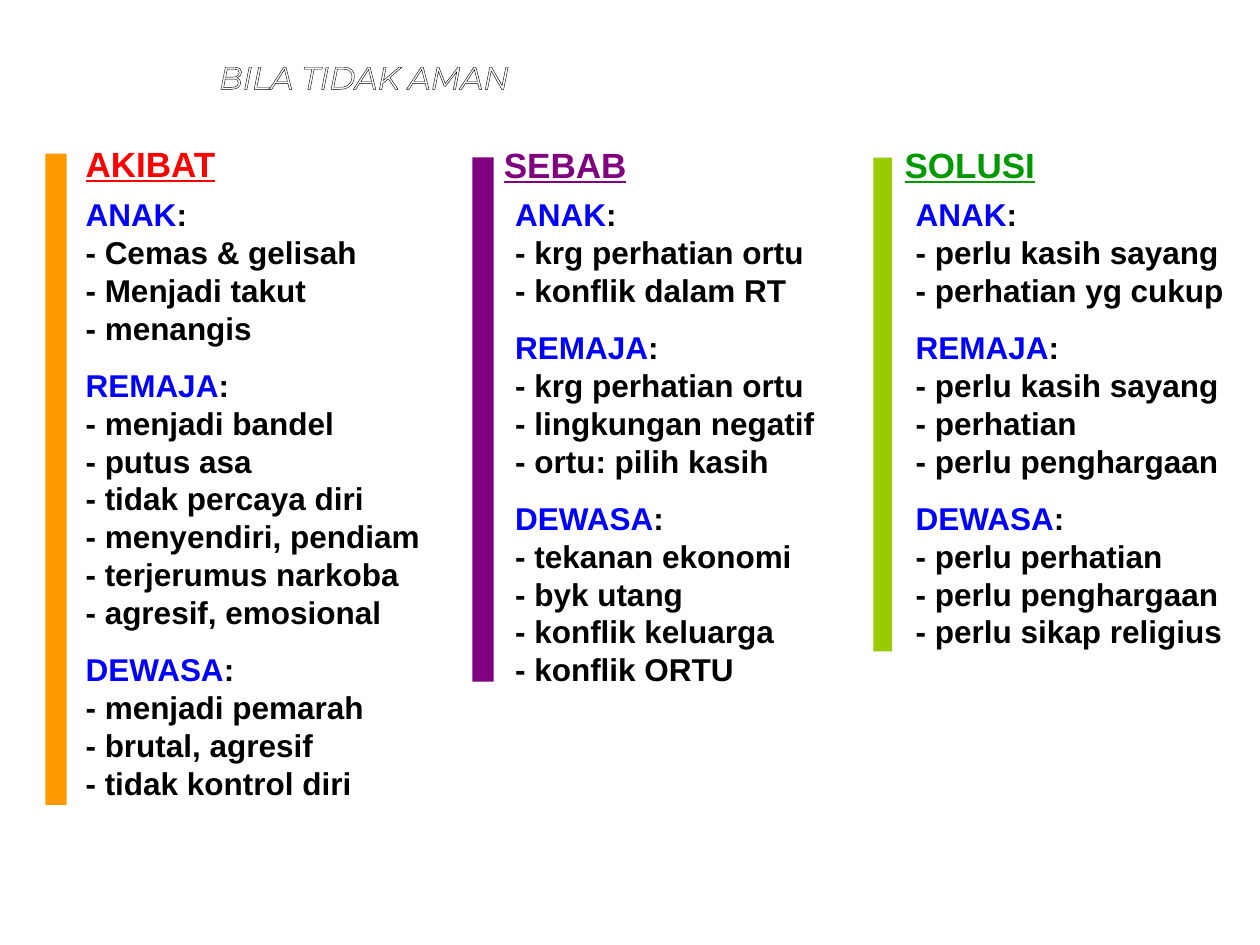
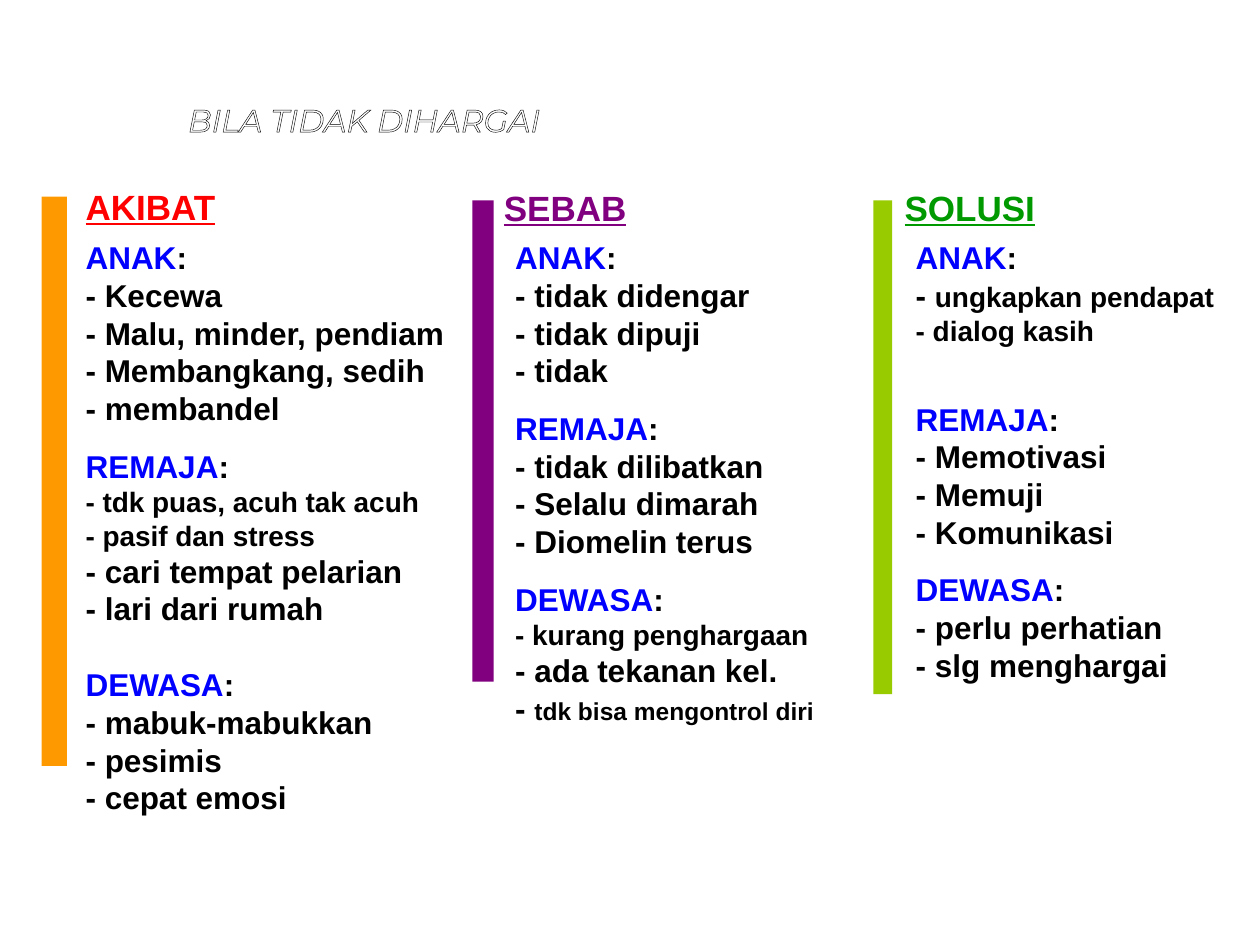
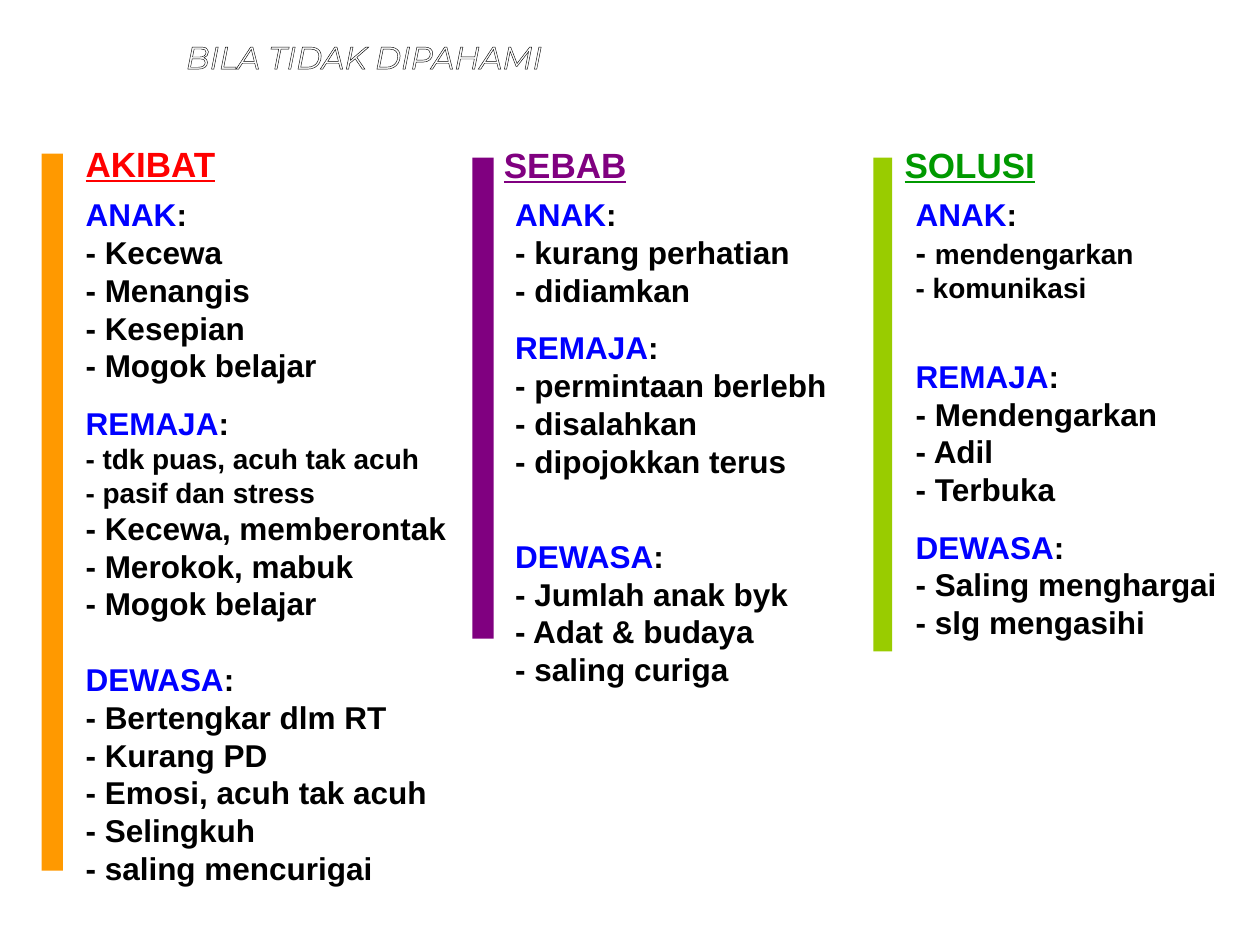
from lxml import etree
from pptx import Presentation
from pptx.dml.color import RGBColor
from pptx.enum import shapes, text
from pptx.oxml import ns
from pptx.util import Pt

WHITE = RGBColor(0xFF, 0xFF, 0xFF)
BLACK = RGBColor(0x00, 0x00, 0x00)
BLUE = RGBColor(0x00, 0x00, 0xFF)
RED = RGBColor(0xFF, 0x00, 0x00)
PURPLE = RGBColor(0x80, 0x00, 0x80)
GREEN = RGBColor(0x00, 0x99, 0x00)
ORANGE = RGBColor(0xFF, 0x99, 0x00)
LIME = RGBColor(0x99, 0xCC, 0x00)

BODY, SMALL, TINY = 18, 16, 14
LEADING = 1.2
GROUP_GAP = 11.2
AGES = ("ANAK", "REMAJA", "DEWASA")

# Heading, its colour, left and top, body left and width, bar colour and top
COLUMNS = [
    ("AKIBAT", RED, 41.8, 77.8, 41.8, 221.8, ORANGE, 87.8),
    ("SEBAB", PURPLE, 280.8, 78.5, 287.3, 198, PURPLE, 90),
    ("SOLUSI", GREEN, 509.8, 78.5, 516.2, 198, LIME, 90),
]

# Each column: bar (left, width, height), body height, lines for each age.
# A line is a string, or a list of (text, size) runs.
# "gaps" holds the space above an age where it is not the usual one.
SLIDES = [
    dict(title="BILA TIDAK AMAN", title_top=29.5, shift=0, gaps={}, columns=[
        ((25.9, 12.2, 372.2), 386.6, [
            ["- Cemas & gelisah", "- Menjadi takut", "- menangis"],
            ["- menjadi bandel", "- putus asa", "- tidak percaya diri",
             "- menyendiri, pendiam", "- terjerumus narkoba",
             "- agresif, emosional"],
            ["- menjadi pemarah", "- brutal, agresif", "- tidak kontrol diri"],
        ]),
        ((270, 12.2, 299.5), 321.8, [
            ["- krg perhatian ortu", "- konflik dalam RT"],
            ["- krg perhatian ortu", "- lingkungan negatif",
             "- ortu: pilih kasih"],
            ["- tekanan ekonomi", "- byk utang", "- konflik keluarga",
             "- konflik ORTU"],
        ]),
        ((499, 10.8, 282.2), 300.2, [
            ["- perlu kasih sayang", "- perhatian yg cukup"],
            ["- perlu kasih sayang", "- perhatian", "- perlu penghargaan"],
            ["- perlu perhatian", "- perlu penghargaan",
             "- perlu sikap religius"],
        ]),
    ]),
    dict(title="BILA TIDAK DIHARGAI", title_top=54, shift=24.5,
         gaps={("AKIBAT", "DEWASA"): 21.6, ("SOLUSI", "REMAJA"): 30}, columns=[
        ((23.8, 14.4, 325.4), 370.8, [
            ["- Kecewa", "- Malu, minder, pendiam", "- Membangkang, sedih",
             "- membandel"],
            [[("- tdk puas, acuh tak acuh", SMALL)],
             [("- pasif dan stress", SMALL)],
             "- cari tempat pelarian", "- lari dari rumah"],
            ["- mabuk-mabukkan", "- pesimis", "- cepat emosi"],
        ]),
        ((270, 12.2, 275), 336.2, [
            ["- tidak didengar", "- tidak dipuji", "- tidak"],
            ["- tidak dilibatkan", "- Selalu dimarah", "- Diomelin terus"],
            [[("- kurang penghargaan", SMALL)], "- ada tekanan kel.",
             [("- ", BODY), ("tdk bisa mengontrol diri", TINY)]],
        ]),
        ((499, 10.8, 282.2), 295.2, [
            [[("- ", BODY), ("ungkapkan pendapat", SMALL)],
             [("- dialog kasih", SMALL)]],
            ["- Memotivasi", "- Memuji", "- Komunikasi"],
            ["- perlu perhatian", "- slg menghargai"],
        ]),
    ]),
    dict(title="BILA TIDAK DIPAHAMI", title_top=18, shift=0,
         gaps={("AKIBAT", "DEWASA"): 21.6, ("SEBAB", "DEWASA"): 32.8,
               ("SOLUSI", "REMAJA"): 30}, columns=[
        ((23.8, 12.2, 409.7), 402.5, [
            ["- Kecewa", "- Menangis", "- Kesepian", "- Mogok belajar"],
            [[("- tdk puas, acuh tak acuh", SMALL)],
             [("- pasif dan stress", SMALL)],
             "- Kecewa, memberontak", "- Merokok, mabuk", "- Mogok belajar"],
            ["- Bertengkar dlm RT", "- Kurang PD", "- Emosi, acuh tak acuh",
             "- Selingkuh", "- saling mencurigai"],
        ]),
        ((270, 12.2, 275), 343.4, [
            ["- kurang perhatian", "- didiamkan"],
            ["- permintaan berlebh", "- disalahkan", "- dipojokkan terus"],
            ["- Jumlah anak byk", "- Adat & budaya", "- saling curiga"],
        ]),
        ((499, 10.8, 282.2), 295.2, [
            [[("- ", BODY), ("mendengarkan", SMALL)],
             [("- komunikasi", SMALL)]],
            ["- Mendengarkan", "- Adil", "- Terbuka"],
            ["- Saling menghargai", "- slg mengasihi"],
        ]),
    ]),
]


def add_text(p, content, size=BODY, color=BLACK, font="Arial", bold=True,
             italic=False, underline=False):
    r = p.add_run()
    r.text = content
    f = r.font
    f.name, f.size, f.bold = font, Pt(size), bold
    f.italic, f.underline = italic, underline
    f.color.rgb = color
    return r


def add_box(s, x, y, w, h, wrap=True):
    tf = s.shapes.add_textbox(Pt(x), Pt(y), Pt(w), Pt(h)).text_frame
    tf.word_wrap = wrap
    return tf


prs = Presentation()
prs.slide_width, prs.slide_height = Pt(720), Pt(540)

for page in SLIDES:
    s = prs.slides.add_slide(prs.slide_layouts[6])

    # Outlined title
    p = add_box(s, 26.6, page["title_top"], 362.9, 31, wrap=False).paragraphs[0]
    p.alignment = text.PP_ALIGN.CENTER
    r = add_text(p, page["title"], color=WHITE, font="Montserrat", bold=False,
                 italic=True)
    ln = etree.Element(ns.qn("a:ln"), w=str(Pt(0.75)))
    fill = etree.SubElement(ln, ns.qn("a:solidFill"))
    etree.SubElement(fill, ns.qn("a:srgbClr"), val=str(BLACK))
    r.font._element.insert(0, ln)

    for column, (bar, body_height, groups) in zip(COLUMNS, page["columns"]):
        heading, color, x, y, body_x, body_w, bar_color, bar_y = column

        # Body: one label and its lines for each age
        tf = add_box(s, body_x, 108 + page["shift"], body_w, body_height)
        for i, (age, lines) in enumerate(zip(AGES, groups)):
            p = tf.add_paragraph() if i else tf.paragraphs[0]
            p.line_spacing = Pt(BODY * LEADING)
            if i:
                p.space_before = Pt(page["gaps"].get((heading, age), GROUP_GAP))
            add_text(p, age, color=BLUE)
            add_text(p, ":")
            for line in lines:
                runs = [(line, BODY)] if isinstance(line, str) else line
                p = tf.add_paragraph()
                p.line_spacing = Pt(max(size for _, size in runs) * LEADING)
                for content, size in runs:
                    add_text(p, content, size=size)

        # Heading
        p = add_box(s, x, y + page["shift"], 144, 31.7).paragraphs[0]
        p.line_spacing = Pt(20 * LEADING)
        add_text(p, heading, size=20, color=color, underline=True)

        # Bar
        left, width, height = bar
        sp = s.shapes.add_shape(shapes.MSO_SHAPE.RECTANGLE, Pt(left),
                                Pt(bar_y + page["shift"]), Pt(width), Pt(height))
        sp.shadow.inherit = False
        sp.fill.solid()
        sp.fill.fore_color.rgb = bar_color
        sp.line.fill.background()

prs.save("out.pptx")
